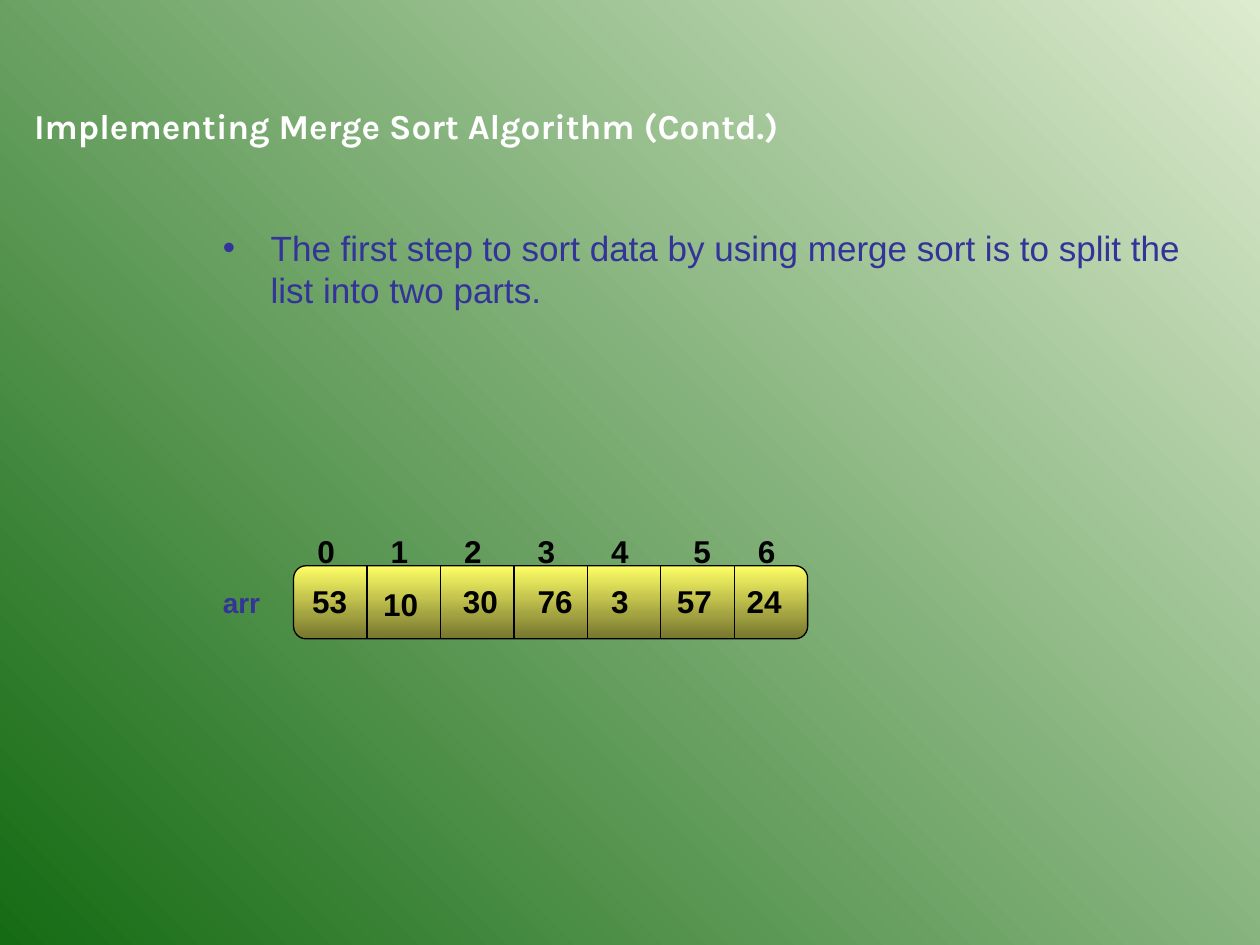
from lxml import etree
from pptx import Presentation
from pptx.dml.color import RGBColor
from pptx.enum import shapes, text
from pptx.oxml import ns
from pptx.util import Inches, Pt

# Per cell: value, index offset, value offset, value drop
CELLS = [
    ("53", 0.09, 0.05, 0.08),
    ("10", 0.09, 0.03, 0.10),
    ("30", 0.09, 0.08, 0.08),
    ("76", 0.09, 0.09, 0.08),
    ("3", 0.09, 0.09, 0.08),
    ("57", 0.16, 0.03, 0.08),
    ("24", 0.09, 0, 0.08),
]
BLUE = "333399"
BLACK = "000000"


def rgb(code):
    return RGBColor.from_string(code)


def shade(fill, first, last, angle):
    fill.gradient()
    fill.gradient_angle = angle
    for stop, code, pos in zip(fill.gradient_stops, (first, last), (0, 1)):
        stop.color.rgb = rgb(code)
        stop.position = pos


def style(para, size, color, name="Arial", bold=True):
    font = para.font
    font.name, font.size, font.bold = name, Pt(size), bold
    font.color.rgb = rgb(color)


def place(slide, words, x, y, w, h, wrap=True):
    box = slide.shapes.add_textbox(Inches(x), Inches(y), Inches(w), Inches(h))
    frame = box.text_frame
    frame.word_wrap = wrap
    if not wrap:
        frame.auto_size = text.MSO_AUTO_SIZE.SHAPE_TO_FIT_TEXT
    para = frame.paragraphs[0]
    para.text = words
    return para


def head(slide, x, y, w, h):
    title = slide.shapes.title
    title.left, title.top = Inches(x), Inches(y)
    title.width, title.height = Inches(w), Inches(h)
    frame = title.text_frame
    frame.text = "Implementing Merge Sort Algorithm (Contd.)"
    frame.vertical_anchor = text.MSO_ANCHOR.TOP
    frame.auto_size = text.MSO_AUTO_SIZE.NONE
    para = frame.paragraphs[0]
    para.alignment = text.PP_ALIGN.LEFT
    style(para, 20, "FFFFFF", "Karla")


def body(slide, x, y, w, h):
    para = place(
        slide,
        "The first step to sort data by using merge sort is to split the "
        "list into two parts.",
        x, y, w, h)
    # Hanging bullet
    props = para._p.get_or_add_pPr()
    props.set("marL", str(Inches(0.38)))
    props.set("indent", str(-Inches(0.38)))
    tint = etree.SubElement(props, ns.qn("a:buClr"))
    etree.SubElement(tint, ns.qn("a:srgbClr"), val=BLUE)
    etree.SubElement(props, ns.qn("a:buFont"), typeface="Arial")
    etree.SubElement(props, ns.qn("a:buChar"), char="•")
    style(para, 20, BLUE, bold=False)


def array(slide, x, y, w, h):
    # Bar
    bar = slide.shapes.add_shape(
        shapes.MSO_SHAPE.ROUNDED_RECTANGLE,
        Inches(x), Inches(y), Inches(w), Inches(h))
    bar.adjustments[0] = 0.17
    bar.shadow.inherit = False
    shade(bar.fill, "FFFF66", "76762F", 270)
    bar.line.color.rgb = rgb(BLACK)
    bar.line.width = Pt(0.75)

    # Array name
    name = place(slide, "arr", x - 0.66, y + 0.11, 0.5, 0.37, wrap=False)
    style(name, 16, BLUE)

    # Indexes, values and dividers
    step = w / len(CELLS)
    for i, (value, shift, inset, drop) in enumerate(CELLS):
        left = x + i * step
        index = place(slide, str(i), left + shift, y - 0.32, 0.34, 0.4,
                      wrap=False)
        style(index, 18, BLACK)
        style(place(slide, value, left + inset, y + drop, 0.5, 0.4), 18, BLACK)
        if i:
            rule = slide.shapes.add_connector(
                shapes.MSO_CONNECTOR.STRAIGHT,
                Inches(left), Inches(y), Inches(left), Inches(y + h))
            rule.line.color.rgb = rgb(BLACK)
            rule.line.width = Pt(0.75)
            etree.SubElement(rule._element.spPr, ns.qn("a:effectLst"))


def main():
    deck = Presentation()
    deck.slide_width, deck.slide_height = Inches(10), Inches(7.5)
    slide = deck.slides.add_slide(deck.slide_layouts[5])
    shade(slide.background.fill, "DDEBCF", "156B13", 225)
    head(slide, 0.17, 0.78, 7.5, 0.44)
    body(slide, 1.67, 1.75, 8, 4.58)
    array(slide, 2.33, 4.49, 4.08, 0.58)
    deck.save("out.pptx")


if __name__ == "__main__":
    main()
